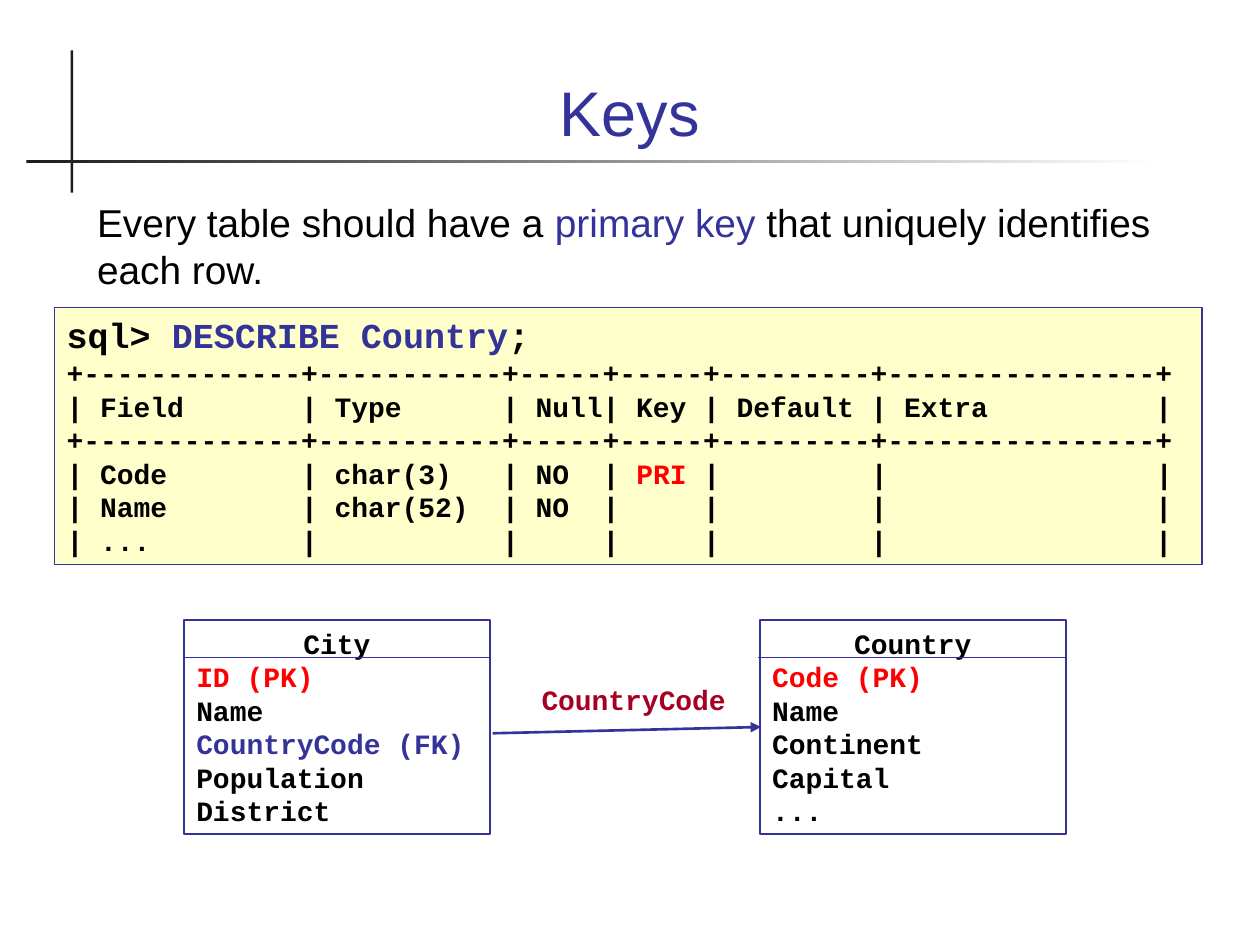
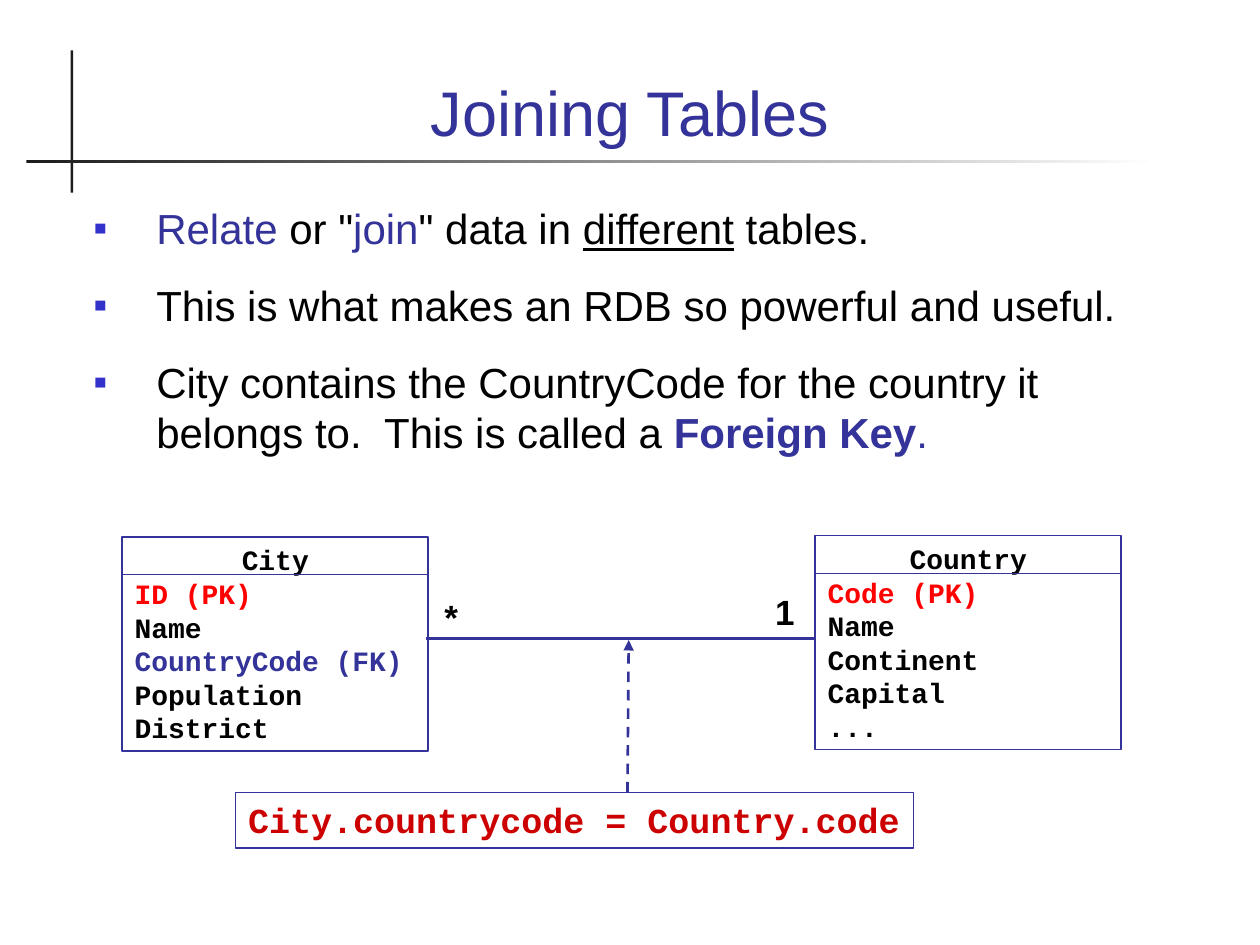
"""Build two slides on database keys and on joining tables."""
from lxml import etree
from pptx import Presentation
from pptx.dml.color import RGBColor
from pptx.enum.dml import MSO_LINE
from pptx.enum.shapes import MSO_CONNECTOR, MSO_SHAPE
from pptx.enum.text import MSO_ANCHOR, MSO_AUTO_SIZE, PP_ALIGN
from pptx.oxml.ns import qn
from pptx.util import Pt

PX = 9144
LEFT, CENTER, RIGHT = PP_ALIGN.LEFT, PP_ALIGN.CENTER, PP_ALIGN.RIGHT
TOP, BOTTOM = MSO_ANCHOR.TOP, MSO_ANCHOR.BOTTOM
RECTANGLE, STRAIGHT, DASH = MSO_SHAPE.RECTANGLE, MSO_CONNECTOR.STRAIGHT, MSO_LINE.DASH
NO_AUTOFIT = MSO_AUTO_SIZE.NONE

color = RGBColor.from_string
BLACK, INK, WHITE = "000000", "1C1C1C", "FFFFFF"
BLUE, BULLET_BLUE = "333399", "3333CC"
RED, DARK_RED, CRIMSON = "FF0000", "CC0000", "A50021"
CREAM = "FFFFCC"
SANS, MONO = "Arial", "Courier New"


def write_text(frame, paragraphs, font, size, bold=False, align=LEFT, space=0, anchor=TOP):
    """Fill a frame with paragraphs of (text, colour, style) runs."""
    frame.auto_size = NO_AUTOFIT
    frame.word_wrap = True
    frame.vertical_anchor = anchor
    for index, runs in enumerate(paragraphs):
        paragraph = frame.add_paragraph() if index else frame.paragraphs[0]
        paragraph.alignment = align
        paragraph.space_before = Pt(space if index else 0)
        for text, run_color, *style in runs:
            run = paragraph.add_run()
            run.text = text
            run.font.name, run.font.size = font, Pt(size)
            run.font.color.rgb = color(run_color)
            run.font.bold = bold or "bold" in style
            run.font.underline = "underline" in style


def add_line(slide, start, end, width, arrow=False, dashed=False):
    """Draw a straight blue line, with an arrowhead at its end if asked."""
    ends = [value * PX for value in (*start, *end)]
    connector = slide.shapes.add_connector(STRAIGHT, *ends)
    connector.line.color.rgb = color(BLUE)
    connector.line.width = Pt(width)
    if dashed:
        connector.line.dash_style = DASH
    properties = connector._element.spPr
    if arrow:
        etree.SubElement(properties.find(qn("a:ln")), qn("a:tailEnd"), type="triangle")
    etree.SubElement(properties, qn("a:effectLst"))


presentation = Presentation()
presentation.slide_width, presentation.slide_height = 1000 * PX, 750 * PX

key_text = [[
    ("Every table should have a ", BLACK),
    ("primary key", BLUE),
    (" that uniquely identifies each row.", BLACK),
]]
join_text = [
    [("Relate", BLUE), (' or "', BLACK), ("join", BLUE), ('" data in ', BLACK),
     ("different", BLACK, "underline"), (" tables.", BLACK)],
    [("This is what makes an RDB so powerful and useful.", BLACK)],
    [("City contains the CountryCode for the country it belongs to.  This is called a ", BLACK),
     ("Foreign Key", BLUE, "bold"), (".", BLUE)],
]

slides = []
for title, body_box, body_text, body_size, bulleted in (
    ("Keys", (67, 153, 866, 127), key_text, 22.2, False),
    ("Joining Tables", (64, 156, 866, 210), join_text, 24, True),
):
    slide = presentation.slides.add_slide(presentation.slide_layouts[1])
    slides.append(slide)
    title_shape, body_shape = slide.shapes.title, slide.placeholders[1]
    for shape, box in ((title_shape, (67, 28, 866, 95)), (body_shape, body_box)):
        shape.left, shape.top, shape.width, shape.height = [value * PX for value in box]
    write_text(title_shape.text_frame, [[(title, BLUE)]], SANS, 36, align=CENTER, anchor=BOTTOM)
    write_text(body_shape.text_frame, body_text, SANS, body_size, space=15)
    for paragraph in body_shape.text_frame.paragraphs:
        properties = paragraph._p.get_or_add_pPr()
        indent = 50 * PX if bulleted else 0
        properties.set("marL", str(indent))
        properties.set("indent", str(-indent))
        if bulleted:
            bullet_color = etree.SubElement(properties, qn("a:buClr"))
            etree.SubElement(bullet_color, qn("a:srgbClr"), val=BULLET_BLUE)
            etree.SubElement(properties, qn("a:buSzPct"), val="95000")
            etree.SubElement(properties, qn("a:buChar"), char="▪")
        else:
            etree.SubElement(properties, qn("a:buNone"))

    for box, fades in (((56, 40, 2, 113), False), ((21, 127, 898, 2), True)):
        rule = slide.shapes.add_shape(RECTANGLE, *[value * PX for value in box])
        rule.shadow.inherit = False
        rule.line.fill.background()
        if fades:
            rule.fill.gradient()
            rule.fill.gradient_angle = 0
            for stop, stop_color in zip(rule.fill.gradient_stops, (INK, WHITE)):
                stop.color.rgb = color(stop_color)
        else:
            rule.fill.solid()
            rule.fill.fore_color.rgb = color(INK)

keys_slide, joining_slide = slides

city = [("City", BLACK), ("ID (PK)", RED), ("Name", BLACK), ("CountryCode (FK)", BLUE),
        ("Population", BLACK), ("District", BLACK)]
country = [("Country", BLACK), ("Code (PK)", RED), ("Name", BLACK), ("Continent", BLACK),
           ("Capital", BLACK), ("...", BLACK)]
for slide, left, top, fields in (
    (keys_slide, 146, 492, city),
    (keys_slide, 603, 492, country),
    (joining_slide, 97, 426, city),
    (joining_slide, 647, 425, country),
):
    entity = slide.shapes.add_shape(RECTANGLE, left * PX, top * PX, 243 * PX, 170 * PX)
    entity.shadow.inherit = False
    entity.fill.background()
    entity.line.color.rgb = color(BLUE)
    entity.line.width = Pt(1)
    write_text(entity.text_frame, [[field] for field in fields], MONO, 16, bold=True)
    entity.text_frame.paragraphs[0].alignment = CENTER
    add_line(slide, (left - 1, top + 30), (left + 243, top + 30), 0.75)

border = "+-------------+-----------+-----+-----+---------+----------------+"
describe_output = [
    [("sql> ", BLACK), ("DESCRIBE Country", BLUE), (";", BLACK)],
    [(border, BLACK)],
    [("| Field       | Type      | Null| Key | Default | Extra          |", BLACK)],
    [(border, BLACK)],
    [("| Code        | char(3)   | NO  | ", BLACK), ("PRI", RED),
     (" |         |                |", BLACK)],
    [("| Name        | char(52)  | NO  |     |         |                |", BLACK)],
    [("| ...         |           |     |     |         |                |", BLACK)],
]
join_condition = [[("City.countrycode = Country.code", DARK_RED)]]
for slide, box, fill, text, size in (
    (keys_slide, (43, 244, 911, 204), CREAM, describe_output, 16),
    (joining_slide, (187, 629, 538, 44), None, join_condition, 20),
):
    code_box = slide.shapes.add_shape(RECTANGLE, *[value * PX for value in box])
    code_box.shadow.inherit = False
    code_box.line.color.rgb = color(BLUE)
    code_box.line.width = Pt(0.75)
    if fill:
        code_box.fill.solid()
        code_box.fill.fore_color.rgb = color(fill)
    else:
        code_box.fill.background()
    write_text(code_box.text_frame, text, MONO, size, bold=True)
    code_box.text_frame.word_wrap = bool(fill)
    for run in code_box.text_frame.paragraphs[0].runs:
        run.font.size = Pt(20)

for slide, box, text, text_color, font, size, align in (
    (keys_slide, (400, 537, 186, 37), "CountryCode", CRIMSON, MONO, 16, RIGHT),
    (joining_slide, (602, 464, 42, 44), "1", BLACK, SANS, 20, CENTER),
    (joining_slide, (337, 468, 42, 44), "*", BLACK, SANS, 20, CENTER),
):
    label = slide.shapes.add_textbox(*[value * PX for value in box])
    write_text(label.text_frame, [[(text, text_color)]], font, size, bold=True, align=align)

add_line(keys_slide, (391, 582), (604, 577), 1.5, arrow=True)
add_line(joining_slide, (338, 507), (648, 507), 1.5)
add_line(joining_slide, (498, 629), (499, 508), 1.5, arrow=True, dashed=True)

presentation.save("out.pptx")
